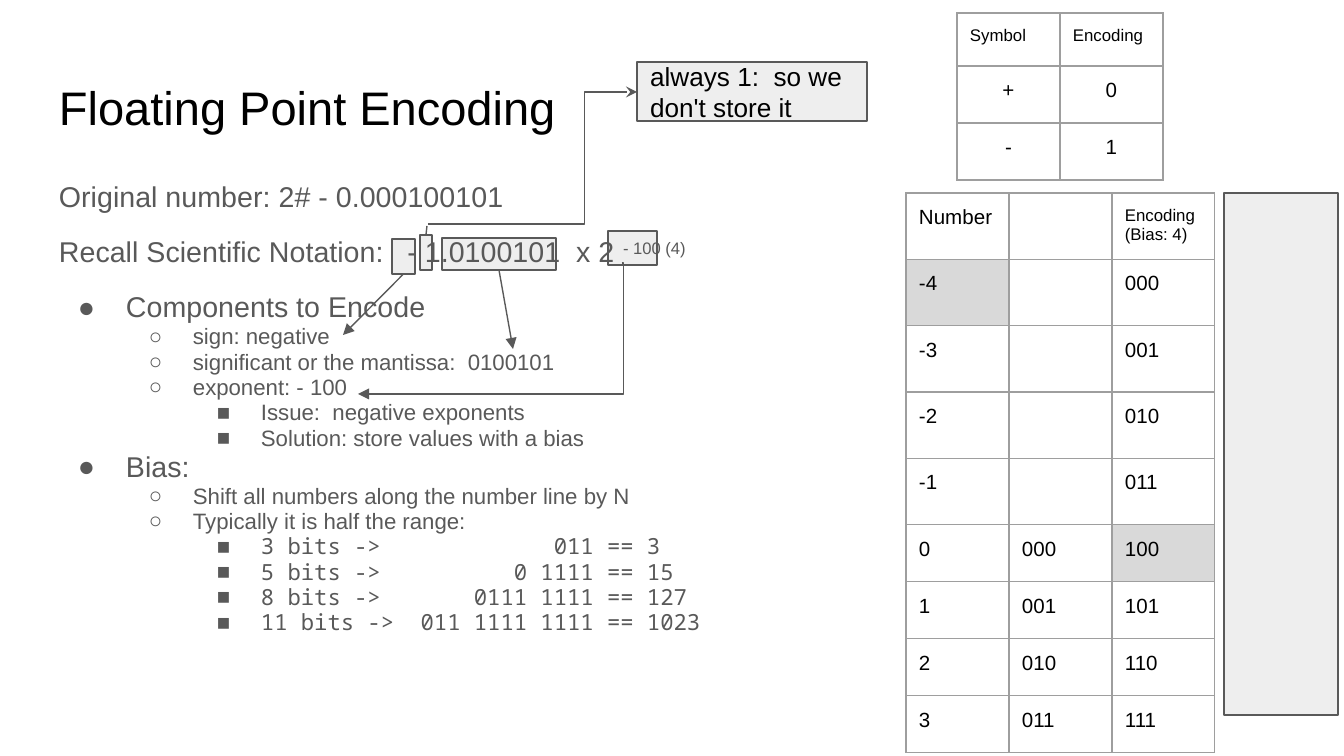
"""Build the Floating Point Encoding slide."""
from lxml import etree
from pptx import Presentation, util as u
from pptx.dml.color import RGBColor
from pptx.enum import shapes, text
from pptx.oxml import ns

SCALE = 914400 / 134.4
PAD = 13
COLORS = {"ink": "000000", "gray": "595959", "panel": "EEEEEE",
          "mark": "D9D9D9", "border": "9E9E9E"}
SANS, MONO = "Arial", "Noto Sans Mono"
BULLETS = [("●", 67, -48, 15.3), ("○", 134, -44, 11.9), ("■", 202, -44, 11.9)]

BIASES = [(3, "011"), (5, "0 1111"), (8, "0111 1111"), (11, "011 1111 1111")]
OUTLINE = [
    (0, "Components to Encode"),
    (1, "sign: negative"),
    (1, "significant or the mantissa:  0100101"),
    (1, "exponent: - 100"),
    (2, "Issue:  negative exponents"),
    (2, "Solution: store values with a bias"),
    (0, "Bias:"),
    (1, "Shift all numbers along the number line by N"),
    (1, "Typically it is half the range:"),
]


def px(n):
    """Turn px into EMU."""
    return u.Emu(round(n * SCALE))


def rgb(name):
    """Look up a colour."""
    return RGBColor.from_string(COLORS[name])


def sub(parent, tag, **attrs):
    """Append a DrawingML element."""
    el = etree.SubElement(parent, ns.qn("a:" + tag))
    for key, value in attrs.items():
        el.set(key, str(value))
    return el


def set_font(p, size, color="ink", name=SANS):
    """Set the font of a paragraph."""
    p.font.size, p.font.name = u.Pt(size), name
    p.font.color.rgb = rgb(color)


def set_margins(tf):
    """Give a text frame or cell equal insets."""
    tf.margin_left = tf.margin_right = px(PAD)
    tf.margin_top = tf.margin_bottom = px(PAD)


def add_box(s, *at):
    """Add an outlined gray rectangle."""
    sp = s.shapes.add_shape(shapes.MSO_SHAPE.RECTANGLE, *map(px, at))
    sp.shadow.inherit = False
    sp.fill.solid()
    sp.fill.fore_color.rgb = rgb("panel")
    sp.line.color.rgb = rgb("gray")
    sp.line.width = u.Pt(0.75)
    return sp


def add_text(s, *at):
    """Add a wrapping text box and return its frame."""
    tf = s.shapes.add_textbox(*map(px, at)).text_frame
    tf.word_wrap = True
    set_margins(tf)
    return tf


def add_line(s, start, end, head=None, adj=None, source=None, site=2):
    """Add a straight connector, or an elbow when adj is given."""
    kind = shapes.MSO_CONNECTOR.STRAIGHT if adj is None else shapes.MSO_CONNECTOR.ELBOW
    cx = s.shapes.add_connector(kind, *map(px, start + end))
    cx.line.color.rgb = rgb("gray")
    cx.line.width = u.Pt(0.75)
    if source is not None:
        cx.begin_connect(source, site)
    if head:
        sub(cx.line._get_or_add_ln(), "tailEnd", type=head)
    sp_pr = cx._element.spPr
    if adj is not None:
        guides = sp_pr.find(ns.qn("a:prstGeom")).get_or_add_avLst()
        sub(guides, "gd", name="adj1", fmla=f"val {adj}")
    sub(sp_pr, "effectLst")


def add_border(cell):
    """Draw all four borders of a cell."""
    tc_pr = cell._tc.get_or_add_tcPr()
    for i, side in enumerate(("lnL", "lnR", "lnT", "lnB")):
        ln = etree.Element(ns.qn("a:" + side), w=str(u.Pt(0.75)))
        sub(sub(ln, "solidFill"), "srgbClr", val=COLORS["border"])
        tc_pr.insert(i, ln)


def add_table(s, left, top, col, heights, rows, small, marked=(), align=None):
    """Add a bordered table with small header cells and marked cells."""
    size = px(col * len(rows[0])), px(sum(heights))
    tbl = s.shapes.add_table(len(rows), len(rows[0]), px(left), px(top), *size).table
    tbl.first_row = tbl.horz_banding = False
    for column in tbl.columns:
        column.width = px(col)
    for i, (height, row) in enumerate(zip(heights, rows)):
        tbl.rows[i].height = px(height)
        for j, value in enumerate(row):
            cell = tbl.cell(i, j)
            set_margins(cell)
            if (i, j) in marked:
                cell.fill.solid()
                cell.fill.fore_color.rgb = rgb("mark")
            else:
                cell.fill.background()
            add_border(cell)
            if value:
                cell.text = value
                p = cell.text_frame.paragraphs[0]
                set_font(p, 9 if value in small else 11)
                if i:
                    p.alignment = align


def add_bullet(tf, level, words, name=SANS):
    """Add a bulleted paragraph."""
    char, margin, indent, size = BULLETS[level]
    p = tf.add_paragraph()
    p.text, p.level, p.line_spacing = words, level, 0.95
    p_pr = p._p.get_or_add_pPr()
    p_pr.set("marL", str(px(margin)))
    p_pr.set("indent", str(px(indent)))
    sub(sub(p_pr, "buClr"), "srgbClr", val=COLORS["gray"])
    sub(p_pr, "buFont", typeface=SANS)
    sub(p_pr, "buChar", char=char)
    set_font(p, size, "gray", name)
    return p


def add_body(s):
    """Add the number, its notation and the outline."""
    tf = add_text(s, 46, 169, 1253, 503)
    number, notation = tf.paragraphs[0], tf.add_paragraph()
    number.text = "Original number: 2# - 0.000100101"
    notation.add_run().text = "Recall Scientific Notation:   - 1.0100101  x 2 "
    r = notation.add_run()
    r.text = "- 100 (4)"
    r._r.get_or_add_rPr().set("baseline", "30000")
    for p in (number, notation):
        p.line_spacing = 0.95
        set_font(p, 15.3, "gray")
    notation.space_before = u.Pt(12)
    bullets = [add_bullet(tf, *item) for item in OUTLINE]
    bullets[0].space_before = u.Pt(12)
    for bits, code in BIASES:
        label = f"{bits} bits ->"
        add_bullet(tf, 2, f"{label:<12}{code:>13} == {2 ** (bits - 1) - 1}", MONO)


def main():
    """Build and save the slide."""
    prs = Presentation()
    prs.slide_width, prs.slide_height = px(1344), px(756)
    s = prs.slides.add_slide(prs.slide_layouts[6])

    leading = add_box(s, 420, 235, 12, 35)
    add_box(s, 608, 231, 49, 34)
    sign = add_box(s, 392, 239, 23, 35)
    mantissa = add_box(s, 442, 238, 114, 32)

    title = add_text(s, 46, 66, 1253, 84).paragraphs[0]
    title.text = "Floating Point Encoding"
    set_font(title, 25.2)
    add_body(s)

    numbers = [[str(n), f"{n:03b}" if n >= 0 else "", f"{n + 4:03b}"]
               for n in range(-4, 4)]
    header = ["Number", "", "Encoding (Bias: 4)"]
    add_table(s, 906, 193, 103, [64] * 5 + [57] * 4, [header] + numbers,
              header[2:], marked=[(1, 0), (5, 2)])

    add_line(s, (499, 270), (513, 349), "triangle", source=mantissa)
    add_line(s, (404, 274), (343, 335), "triangle", source=sign)
    add_line(s, (622, 263), (358, 394), "triangle", adj=-600)

    note = add_box(s, 637, 62, 230, 59)
    tf = note.text_frame
    tf.word_wrap = True
    tf.vertical_anchor = text.MSO_ANCHOR.MIDDLE
    set_margins(tf)
    p = tf.paragraphs[0]
    p.text = "always 1:  so we don't store it"
    p.alignment = text.PP_ALIGN.LEFT
    set_font(p, 14)
    add_line(s, (428, 224), (637, 92), "stealth", adj=75000)
    add_line(s, (426, 235), (427, 226), source=leading, site=0)

    add_box(s, 1224, 193, 114, 522)
    symbols = [["Symbol", "Encoding"], ["+", "0"], ["-", "1"]]
    add_table(s, 957, 13, 103, [53, 57, 57], symbols, symbols[0],
              align=text.PP_ALIGN.CENTER)
    prs.save("out.pptx")


if __name__ == "__main__":
    main()
